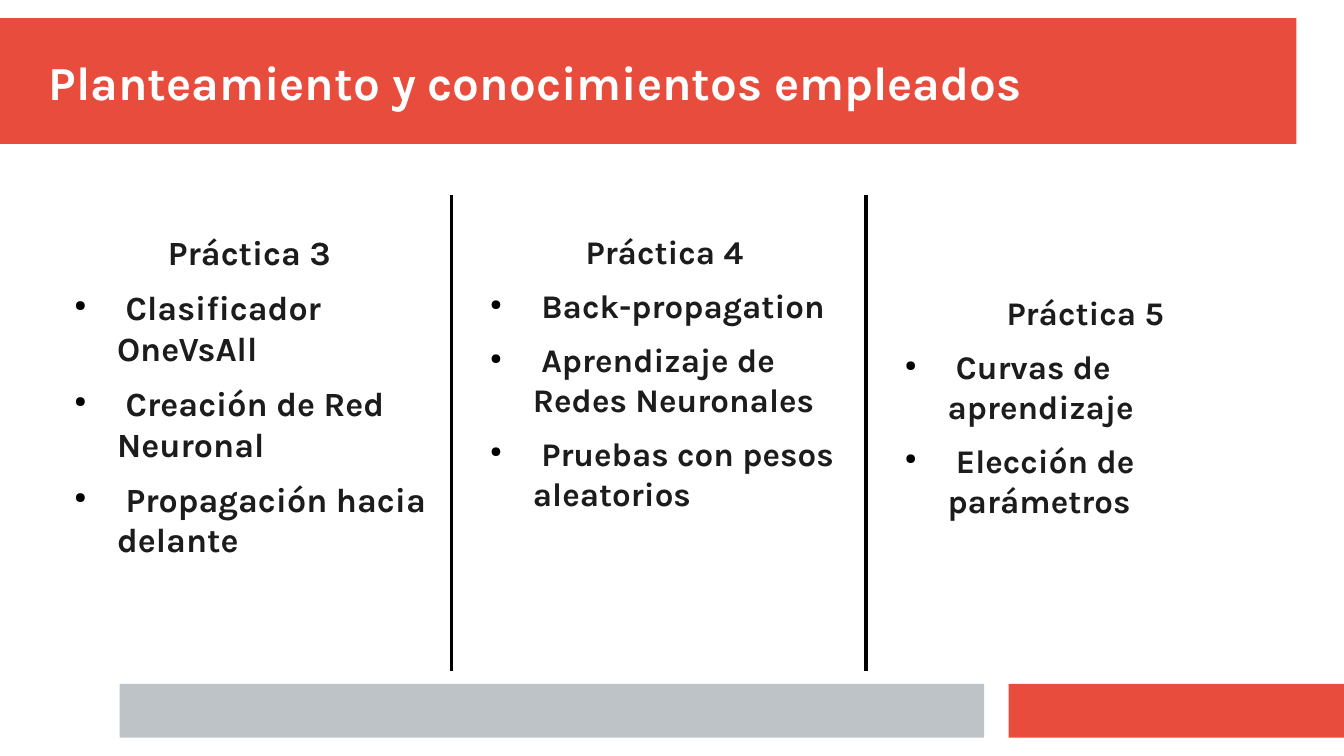
from dataclasses import dataclass

from lxml import etree
from pptx import Presentation
from pptx.dml.color import RGBColor
from pptx.enum.shapes import MSO_CONNECTOR, MSO_SHAPE
from pptx.enum.text import MSO_ANCHOR, PP_ALIGN
from pptx.oxml.ns import qn
from pptx.util import Inches, Pt

RECT = MSO_SHAPE.RECTANGLE
STRAIGHT = MSO_CONNECTOR.STRAIGHT
TOP, BOTTOM = MSO_ANCHOR.TOP, MSO_ANCHOR.BOTTOM
LEFT, CENTER = PP_ALIGN.LEFT, PP_ALIGN.CENTER

CELL = Inches(0.1)
FONT = "Karla"
COLORS = {"red": "E74C3C", "gray": "BDC3C7", "white": "FFFFFF", "ink": "1C1C1C", "black": "000000"}


@dataclass
class Box:
    col: float
    row: float
    cols: float
    rows: float

    def emu(self) -> list[int]:
        return [grid(n) for n in (self.col, self.row, self.cols, self.rows)]


@dataclass
class Bar:
    box: Box
    color: str


@dataclass
class Practice:
    box: Box
    size: float
    heading: str
    topics: list[str]


BARS = [
    Bar(Box(0, 1.5, 106.3, 10.3), "red"),
    Bar(Box(82.7, 56.1, 27.5, 4.4), "red"),
    Bar(Box(9.8, 56.1, 70.9, 4.4), "gray"),
]
TITLE = "Planteamiento y conocimientos empleados"
TITLE_BOX = Box(4, 3, 102.4, 6)
PRACTICES = [
    Practice(Box(4.9, 19, 31.1, 25.2), 20, "Práctica 3",
             ["Clasificador OneVsAll", "Creación de Red Neuronal", "Propagación hacia delante"]),
    Practice(Box(39, 19, 31, 24), 19.5, "Práctica 4",
             ["Back-propagation", "Aprendizaje de Redes Neuronales", "Pruebas con pesos aleatorios"]),
    Practice(Box(73, 24, 32, 14), 19.5, "Práctica 5",
             ["Curvas de aprendizaje", "Elección de parámetros"]),
]
DIVIDER_COLS = [37, 71]
DIVIDER_TOP, DIVIDER_BOTTOM = 16, 55


def grid(n: float) -> int:
    return round(n * CELL)


def rgb(name: str) -> RGBColor:
    return RGBColor.from_string(COLORS[name])


def add_bar(s, bar: Bar) -> None:
    sp = s.shapes.add_shape(RECT, *bar.box.emu())
    sp.shadow.inherit = False
    sp.fill.solid()
    sp.fill.fore_color.rgb = rgb(bar.color)
    sp.line.fill.background()


def add_text(s, box: Box, lines: list[str], size: float, color: str, anchor=TOP):
    tf = s.shapes.add_textbox(*box.emu()).text_frame
    tf.word_wrap = True
    tf.vertical_anchor = anchor
    tf.margin_left = tf.margin_right = tf.margin_top = tf.margin_bottom = 0
    tf.text = "\n".join(lines)
    for p in tf.paragraphs:
        p.alignment = LEFT
        for r in p.runs:
            r.font.name = FONT
            r.font.size = Pt(size)
            r.font.bold = True
            r.font.color.rgb = rgb(color)
    return tf


def add_bullet(p) -> None:
    pPr = p._p.get_or_add_pPr()
    pPr.set("marL", str(Inches(0.47)))
    pPr.set("indent", str(-Inches(0.35)))
    clr = etree.SubElement(pPr, qn("a:buClr"))
    etree.SubElement(clr, qn("a:srgbClr"), val=COLORS["black"])
    etree.SubElement(pPr, qn("a:buSzPct"), val="45000")
    etree.SubElement(pPr, qn("a:buChar"), char="●")


def add_practice(s, practice: Practice) -> None:
    lines = [practice.heading] + [f" {topic}" for topic in practice.topics]
    tf = add_text(s, practice.box, lines, practice.size, "ink")
    for p in tf.paragraphs:
        p.space_after = Pt(8.5)
    heading, *topics = tf.paragraphs
    heading.alignment = CENTER
    for p in topics:
        add_bullet(p)


def add_divider(s, col: float) -> None:
    x = grid(col)
    line = s.shapes.add_connector(STRAIGHT, x, grid(DIVIDER_TOP), x, grid(DIVIDER_BOTTOM))
    line.line.color.rgb = rgb("black")
    line.line.width = Pt(0)
    etree.SubElement(line._element.spPr, qn("a:effectLst"))


def main() -> None:
    prs = Presentation()
    prs.slide_width, prs.slide_height = Inches(11.02), Inches(6.2)
    s = prs.slides.add_slide(prs.slide_layouts[6])
    for bar in BARS:
        add_bar(s, bar)
    add_text(s, TITLE_BOX, [TITLE], 28, "white", BOTTOM)
    for practice in PRACTICES:
        add_practice(s, practice)
    for col in DIVIDER_COLS:
        add_divider(s, col)
    prs.save("out.pptx")


if __name__ == "__main__":
    main()
